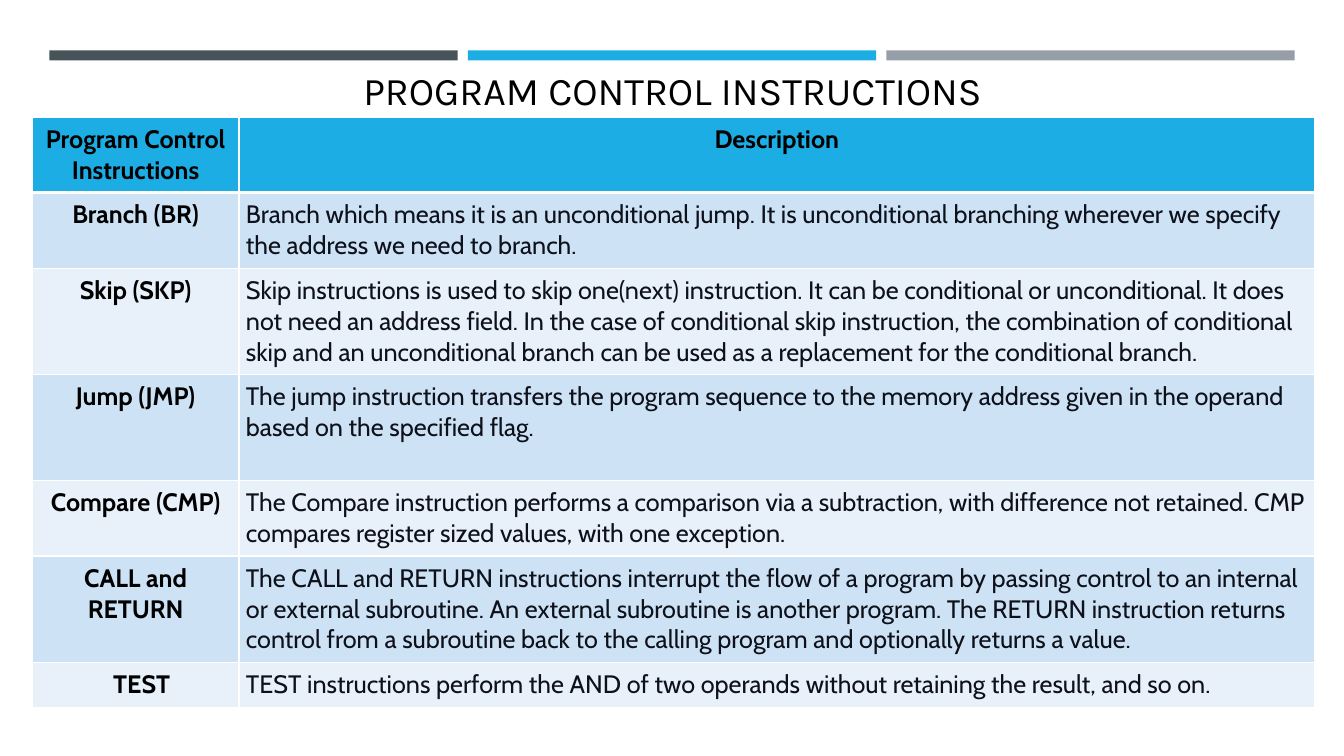
from dataclasses import dataclass

from lxml import etree
from pptx import Presentation
from pptx.dml.color import RGBColor
from pptx.enum import shapes, text
from pptx.oxml import ns
from pptx.util import Pt

PX = 9144


@dataclass(frozen=True)
class Theme:
    dark: str = "465359"
    blue: str = "1CADE4"
    grey: str = "969FA7"
    black: str = "000000"
    ink: str = "0E101A"
    white: str = "FFFFFF"
    bands: tuple = ("CDE3F5", "E8F1FA")
    head: str = "Karla"
    body: str = "Cabin"
    large: int = 28
    small: int = 18


THEME = Theme()

ROWS = [
    ("Program Control Instructions", "Description", 2),
    ("Branch (BR)", "Branch which means it is an unconditional jump. It is unconditional "
     "branching wherever we specify the address we need to branch.", 2),
    ("Skip (SKP)", "Skip instructions is used to skip one(next) instruction. It can be "
     "conditional or unconditional. It does not need an address field. In the case of "
     "conditional skip instruction, the combination of conditional skip and an unconditional "
     "branch can be used as a replacement for the conditional branch.", 3),
    ("Jump (JMP)", "The jump instruction transfers the program sequence to the memory address "
     "given in the operand based on the specified flag.", 3),
    ("Compare (CMP)", "The Compare instruction performs a comparison via a subtraction, with "
     "difference not retained. CMP compares register sized values, with one exception.", 2),
    ("CALL and RETURN", "The CALL and RETURN instructions interrupt the flow of a program by "
     "passing control to an internal or external subroutine. An external subroutine is another "
     "program. The RETURN instruction returns control from a subroutine back to the calling "
     "program and optionally returns a value.", 3),
    ("TEST", "TEST instructions perform the AND of two operands without retaining the result, "
     "and so on.", 1),
]


def paint(fill, tint):
    fill.solid()
    fill.fore_color.rgb = RGBColor.from_string(tint)


def style(frame, face, size, tint, bold=False, centre=True):
    for para in frame.paragraphs:
        para.alignment = text.PP_ALIGN.CENTER if centre else text.PP_ALIGN.LEFT
        for run in para.runs:
            run.font.name = face
            run.font.size = Pt(size)
            run.font.bold = bold
            run.font.color.rgb = RGBColor.from_string(tint)


def add_bar(slide, left, tint):
    bar = slide.shapes.add_shape(
        shapes.MSO_SHAPE.RECTANGLE, left * PX, 50 * PX, 405 * PX, 10 * PX)
    bar.shadow.inherit = False
    paint(bar.fill, tint)
    bar.line.fill.background()


def set_title(slide, words):
    title = slide.shapes.title
    title.left, title.top, title.width, title.height = (n * PX for n in (64, 59, 1206, 58))
    frame = title.text_frame
    frame.text = words
    frame.word_wrap = True
    frame.auto_size = text.MSO_AUTO_SIZE.NONE
    frame.vertical_anchor = text.MSO_ANCHOR.BOTTOM
    style(frame, THEME.head, THEME.large, THEME.black)


def add_edge(cell, side, points):
    props = cell._tc.get_or_add_tcPr()
    line = etree.SubElement(props, ns.qn(f"a:ln{side}"), w=str(Pt(points)))
    fill = etree.SubElement(line, ns.qn("a:solidFill"))
    etree.SubElement(fill, ns.qn("a:srgbClr"), val=THEME.white)


def fill_cell(cell, words, row, col):
    header = row == 0
    label = header or col == 0
    cell.text = words
    cell.margin_left = cell.margin_right = cell.margin_top = cell.margin_bottom = 7 * PX
    for side in "LRTB":
        thick = (header and side == "B") or (row == 1 and side == "T")
        add_edge(cell, side, 3 if thick else 1)
    paint(cell.fill, THEME.blue if header else THEME.bands[(row - 1) % 2])
    style(cell.text_frame, THEME.body, THEME.small,
          THEME.black if label else THEME.ink, label, label)


def add_grid(slide, rows):
    heights = [15 + 30 * lines for _, _, lines in rows]
    widths = (205, 1067)
    grid = slide.shapes.add_table(
        len(rows), 2, 32 * PX, 116 * PX, sum(widths) * PX, sum(heights) * PX).table
    grid.horz_banding = False
    for col, width in enumerate(widths):
        grid.columns[col].width = width * PX
    for row, (name, detail, _) in enumerate(rows):
        grid.rows[row].height = heights[row] * PX
        for col, words in enumerate((name, detail)):
            fill_cell(grid.cell(row, col), words, row, col)
    grid.cell(len(rows) - 1, 0).margin_left = 19 * PX


def main():
    deck = Presentation()
    deck.slide_width, deck.slide_height = 1333 * PX, 750 * PX
    slide = deck.slides.add_slide(deck.slide_layouts[5])
    for place, tint in enumerate((THEME.dark, THEME.blue, THEME.grey)):
        add_bar(slide, 49 + 415 * place, tint)
    set_title(slide, "PROGRAM CONTROL INSTRUCTIONS")
    add_grid(slide, ROWS)
    deck.save("out.pptx")


if __name__ == "__main__":
    main()
